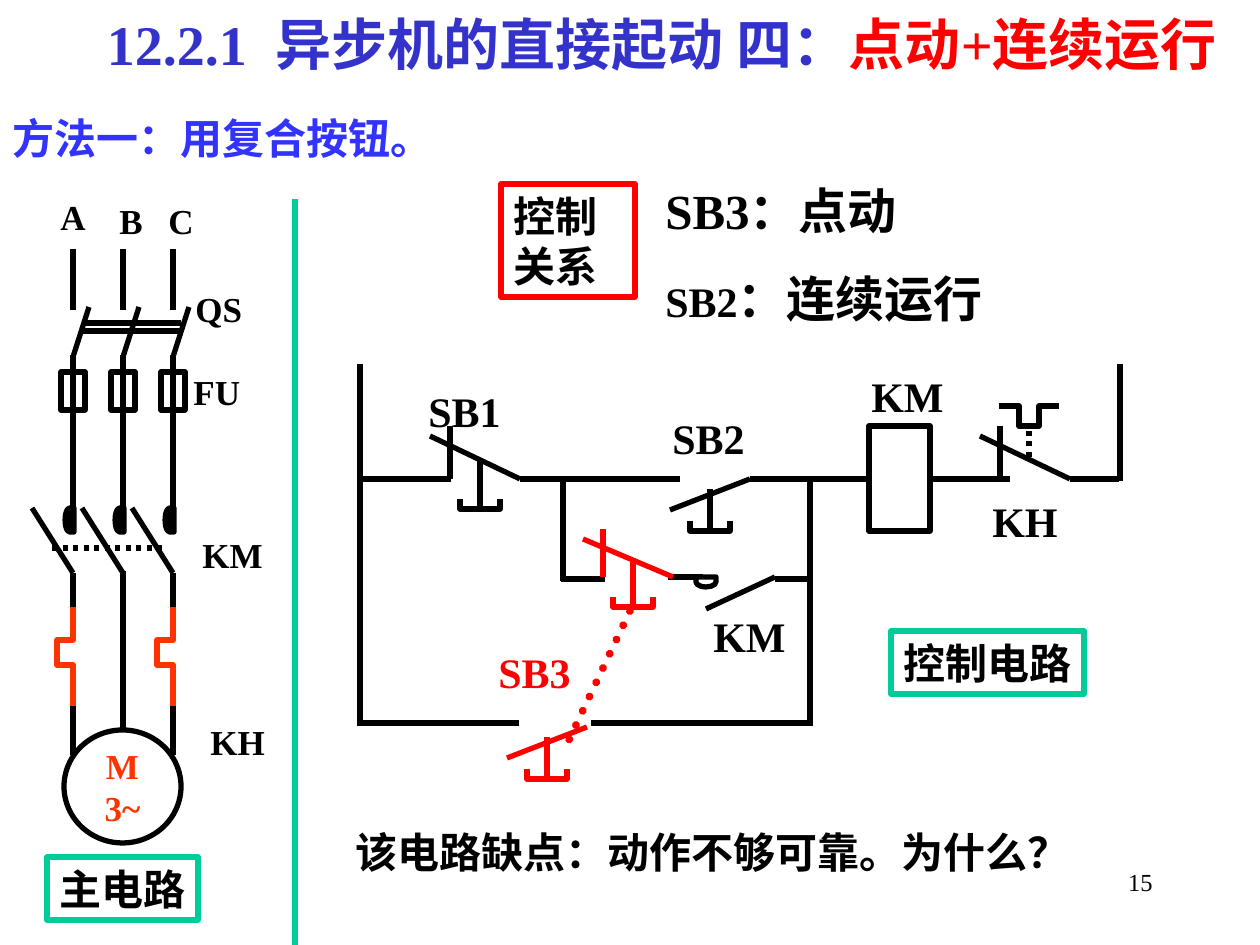
from dataclasses import dataclass

from lxml.etree import SubElement
from pptx import Presentation
from pptx.dml.color import RGBColor
from pptx.enum.dml import MSO_LINE
from pptx.enum.shapes import MSO_CONNECTOR, MSO_SHAPE as SHAPE
from pptx.enum.text import MSO_ANCHOR as ANCHOR, PP_ALIGN as ALIGN
from pptx.oxml.ns import qn
from pptx.util import Emu, Pt

PX = 914400 // 126


@dataclass(frozen=True)
class Theme:
    font: str = "Times New Roman"
    black: str = "000000"
    white: str = "FFFFFF"
    red: str = "FF0000"
    orange: str = "FF3300"
    green: str = "00CC99"
    title: str = "3333CC"
    heading: str = "3333FF"
    title_size: int = 32
    large: int = 28
    body: int = 24
    label: int = 20
    small: int = 14
    stroke: float = 3
    thick: float = 4.5


T = Theme()


def px(n):
    return Emu(n * PX)


def rgb(color):
    return RGBColor.from_string(color)


def style_font(font, size, color, bold=True):
    font.name, font.size, font.bold = T.font, Pt(size), bold
    font.color.rgb = rgb(color)


class Panel:
    """Drawing area whose parts are placed relative to its top-left corner."""

    def __init__(self, s, x, y):
        self.shapes, self.x, self.y = s.shapes, x, y

    def at(self, x, y):
        return px(self.x + x), px(self.y + y)

    def stroke(self, sp, color, width=T.stroke):
        sp.line.color.rgb, sp.line.width = rgb(color), Pt(width)

    def line(self, x1, y1, x2, y2, color=T.black, width=T.stroke, dotted=False, cap="flat"):
        sp = self.shapes.add_connector(MSO_CONNECTOR.STRAIGHT, *self.at(x1, y1), *self.at(x2, y2))
        self.stroke(sp, color, width)
        if dotted:
            sp.line.dash_style = MSO_LINE.ROUND_DOT
        sp.line._get_or_add_ln().set("cap", cap)
        SubElement(sp._element.spPr, qn("a:effectLst"))

    def outline(self, points, color=T.black):
        start, *rest = [self.at(*point) for point in points]
        builder = self.shapes.build_freeform(*start, scale=1.0)
        builder.add_line_segments(rest, close=False)
        sp = builder.convert_to_shape()
        sp.shadow.inherit = False
        sp.fill.background()
        self.stroke(sp, color)

    def shape(self, kind, x, y, w, h, fill=None, rotation=0):
        sp = self.shapes.add_shape(kind, *self.at(x, y), px(w), px(h))
        sp.shadow.inherit = False
        sp.rotation = rotation
        if fill:
            sp.fill.solid()
            sp.fill.fore_color.rgb = rgb(fill)
        else:
            sp.fill.background()
        self.stroke(sp, T.black)
        return sp

    def text(self, lines, x, y, w, h=63, size=T.body, color=T.black, bold=True,
             border=None, wrap=True, align=ALIGN.LEFT):
        sp = self.shapes.add_textbox(*self.at(x, y), px(w), px(h))
        if border:
            self.stroke(sp, border)
        write(sp.text_frame, lines, size, color, bold, wrap, align)


def write(tf, lines, size, color, bold=True, wrap=True, align=ALIGN.LEFT):
    tf.word_wrap = wrap
    tf.text = lines
    for p in tf.paragraphs:
        p.alignment = align
        style_font(p.font, size, color, bold)


def add_runs(p, runs):
    for text, size, color in runs:
        r = p.add_run()
        r.text = text
        style_font(r.font, size, color)


def add_title(s, x, y, w, h):
    sp = s.shapes.title
    sp.left, sp.top, sp.width, sp.height = map(px, (x, y, w, h))
    tf = sp.text_frame
    tf.word_wrap, tf.vertical_anchor = True, ANCHOR.MIDDLE
    p = tf.paragraphs[0]
    p.alignment = ALIGN.CENTER
    add_runs(p, [("12.2.1  异步机的直接起动 四：", T.title_size, T.title),
                 ("点动+连续运行", T.title_size, T.red)])


def add_main_circuit(s, x, y):
    c = Panel(s, x, y)
    phases = (50, 100, 150)
    left, middle, right = phases

    # Supply, switch blade, fuse and contactor of each phase
    for ph in phases:
        c.line(ph, 60, ph, 121)
        c.line(ph, 168, ph + 16, 118)
        c.shape(SHAPE.RECTANGLE, ph - 12, 183, 24, 38)
        c.line(ph, 166, ph, 343)
        c.line(ph, 384, ph - 41, 319)
        c.shape(SHAPE.FLOWCHART_DELAY, ph - 8, 319, 9, 24, T.black, 180)
    for bar in (134, 142):
        c.line(59, bar, 158, bar)
    c.line(29, 359, 141, 359, dotted=True)

    # Motor
    motor = c.shape(SHAPE.OVAL, 41, 541, 117, 113, T.white)
    motor.text_frame.vertical_anchor = ANCHOR.MIDDLE
    write(motor.text_frame, "M\n3~", T.label, T.orange, wrap=False, align=ALIGN.CENTER)
    c.line(middle, 382, middle, 541)

    # Thermal relay heaters on the outer phases
    for ph in (left, right):
        c.line(ph, 384, ph, 441)
        c.line(ph, 476, ph, 566)
        c.outline([(ph, 418), (ph, 451), (ph - 16, 451), (ph - 16, 476), (ph, 476), (ph, 517)],
                  T.orange)

    # Labels
    for name, lx, ly in (("A", 25, 0), ("B", 84, 4), ("C", 133, 4), ("QS", 160, 92),
                         ("FU", 158, 175), ("KM", 167, 338), ("KH", 175, 525)):
        c.text(name, lx, ly, 50 if len(name) == 1 else 117, 55, T.label)
    c.text("主电路", 24, 668, 151, border=T.green, wrap=False)


def add_plunger(c, x, top, bottom, color):
    c.line(x, top, x, bottom, color)
    c.outline([(x - 20, bottom - 10), (x - 20, bottom), (x + 20, bottom), (x + 20, bottom - 10)],
              color)


def add_closed_contact(c, x, y, rise=43, color=T.black):
    c.line(x, y, x - 90, y - rise, color)
    c.line(x - 70, y, x - 70, y - rise - 10, color)


def add_closed_button(c, x, y, rise=43, color=T.black):
    add_closed_contact(c, x, y, rise, color)
    add_plunger(c, x - 40, y - rise // 2, y + 30, color)


def add_open_button(c, x, y, color=T.black):
    c.line(x, y, x - 80, y + 31, color)
    add_plunger(c, x - 40, y + 10, y + 52, color)


def add_control_circuit(s, x, y):
    c = Panel(s, x, y)
    rail, branch, bottom = 115, 215, 359

    # Wiring
    for x1, x2, row in ((0, 91, rail), (160, 320, rail), (390, 509, rail), (570, 650, rail),
                        (710, 759, rail), (201, 245, branch), (308, 343, branch - 2),
                        (415, 450, branch), (-3, 159, bottom), (231, 453, bottom)):
        c.line(x1, row, x2, row)
    for col, y1, y2 in ((0, 0, 361), (203, 113, 217), (450, rail, 361), (760, 0, 117)):
        c.line(col, y1, col, y2)

    # Push buttons
    add_closed_button(c, 160, rail)
    add_open_button(c, 390, rail)
    add_closed_button(c, 313, branch - 2, 38, T.red)
    add_open_button(c, 227, 363, T.red)
    c.line(270, 247, 208, 378, T.red, T.thick, dotted=True, cap="rnd")

    # Coil and holding contact
    c.shape(SHAPE.RECTANGLE, 509, 62, 61, 105, T.white)
    c.shape(SHAPE.FLOWCHART_DELAY, 341, 208, 10, 20, T.white, 90)
    c.line(415, 213, 346, 245)

    # Thermal relay contact
    add_closed_contact(c, 710, rail)
    c.line(669, 93, 669, 62, dotted=True)
    c.outline([(639, 42), (659, 42), (659, 62), (679, 62), (679, 42), (699, 42)])

    # Labels
    for name, lx, ly, color in (("KM", 499, 0, T.black), ("SB1", 56, 15, T.black),
                                ("SB2", 300, 42, T.black), ("KM", 341, 240, T.black),
                                ("KH", 620, 125, T.black), ("SB3", 126, 276, T.red)):
        c.text(name, lx, ly, 140, color=color)
    c.text("控制电路", 531, 267, 193, border=T.green, wrap=False)


def add_control_relation(s, x, y):
    c = Panel(s, x, y)
    tf = s.shapes.add_textbox(*c.at(152, 0), px(352), px(189)).text_frame
    tf.word_wrap = False
    rows = ([("SB3：点动", T.large, T.black)],
            [("SB2", T.body, T.black), ("：连续运行", T.large, T.black)])
    for i, runs in enumerate(rows):
        p = tf.add_paragraph() if i else tf.paragraphs[0]
        p.line_spacing = 1.5
        add_runs(p, runs)
    c.text("控制\n关系", 0, 39, 134, 113, border=T.red)


def main():
    prs = Presentation()
    prs.slide_width, prs.slide_height = px(1260), px(945)
    s = prs.slides.add_slide(prs.slide_layouts[5])
    add_title(s, 64, 0, 1196, 86)
    add_main_circuit(s, 23, 189)
    add_control_circuit(s, 360, 364)
    add_control_relation(s, 501, 145)

    # Heading, question, divider and page number
    page = Panel(s, 0, 0)
    page.text("方法一：用复合按钮。", 0, 106, 556, color=T.heading)
    page.text("该电路缺点：动作不够可靠。为什么？", 343, 820, 853)
    page.line(295, 199, 295, 945, T.green)
    page.text("15", 903, 861, 262, size=T.small, bold=False, align=ALIGN.RIGHT)
    prs.save("out.pptx")


if __name__ == "__main__":
    main()
